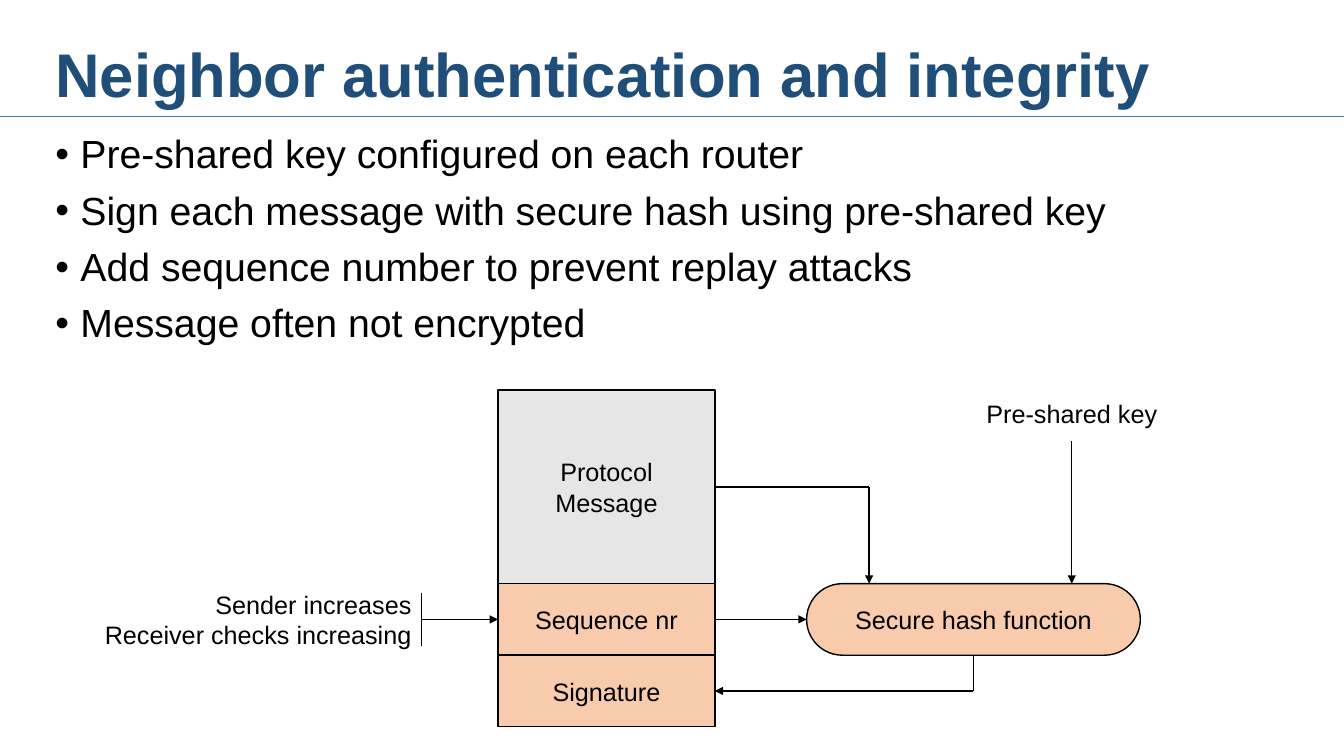
from itertools import pairwise

from lxml import etree
from pptx import Presentation
from pptx import util as u
from pptx.dml.color import RGBColor
from pptx.enum import shapes, text
from pptx.oxml import ns

BLACK = RGBColor(0x00, 0x00, 0x00)
NAVY = RGBColor(0x1F, 0x4E, 0x79)
BLUE = RGBColor(0x44, 0x72, 0xC4)
GREY = RGBColor(0xE7, 0xE6, 0xE6)
PEACH = RGBColor(0xF8, 0xCB, 0xAD)

WIDTH, HEIGHT = 13.33, 7.5
MARGIN = 0.45
CONTENT_WIDTH = WIDTH - 2 * MARGIN
ROW = 0.71
PACKET_LEFT, PACKET_WIDTH = 4.94, 2.15
PACKET_RIGHT = PACKET_LEFT + PACKET_WIDTH
MESSAGE_TOP, MESSAGE_HEIGHT = 3.87, 1.92
SEQUENCE_TOP = MESSAGE_TOP + MESSAGE_HEIGHT
SIGNATURE_TOP = SEQUENCE_TOP + ROW
HASH_LEFT, HASH_WIDTH = 8, 3.31
NOTE_LEFT, NOTE_RIGHT = 0.84, 4.18

BULLETS = [
    "Pre-shared key configured on each router",
    "Sign each message with secure hash using pre-shared key",
    "Add sequence number to prevent replay attacks",
    "Message often not encrypted",
]


def inches(*lengths):
    return [u.Inches(length) for length in lengths]


def style(paragraph, size, color=BLACK, bold=False, align=text.PP_ALIGN.LEFT):
    paragraph.alignment = align
    font = paragraph.font
    font.name, font.size, font.bold = "Arial", u.Pt(size), bold
    font.color.rgb = color


def write(frame, lines, align):
    frame.word_wrap = True
    frame.vertical_anchor = text.MSO_ANCHOR.MIDDLE
    frame.text = "\n".join(lines)
    for paragraph in frame.paragraphs:
        style(paragraph, 18, align=align)


def add_title(slide, wording):
    title = slide.shapes.title
    title.left, title.top, title.width, title.height = inches(MARGIN, 0.36, CONTENT_WIDTH, 0.81)
    frame = title.text_frame
    frame.text = wording
    frame.vertical_anchor = text.MSO_ANCHOR.MIDDLE
    paragraph = frame.paragraphs[0]
    paragraph.line_spacing = 0.9
    style(paragraph, 44, NAVY, bold=True)


def add_bullets(slide, lines):
    frame = slide.shapes.add_textbox(*inches(MARGIN, 1.29, CONTENT_WIDTH, 2.33)).text_frame
    frame.word_wrap = True
    frame.text = "\n".join(lines)
    for index, paragraph in enumerate(frame.paragraphs):
        properties = paragraph._p.get_or_add_pPr()
        properties.set("marL", str(u.Inches(0.25)))
        properties.set("indent", str(u.Inches(-0.25)))
        etree.SubElement(properties, ns.qn("a:buFont"), typeface="Arial")
        etree.SubElement(properties, ns.qn("a:buChar"), char="•")
        paragraph.line_spacing = 0.9
        paragraph.space_before = u.Pt(10 if index else 0)
        style(paragraph, 28)


def add_box(slide, left, top, width, height, lines, fill, kind=shapes.MSO_SHAPE.RECTANGLE):
    box = slide.shapes.add_shape(kind, *inches(left, top, width, height))
    box.shadow.inherit = False
    box.fill.solid()
    box.fill.fore_color.rgb = fill
    box.line.color.rgb = BLACK
    box.line.width = u.Pt(1)
    write(box.text_frame, lines, text.PP_ALIGN.CENTER)
    return box


def add_label(slide, left, top, width, height, lines, align):
    label = slide.shapes.add_textbox(*inches(left, top, width, height))
    write(label.text_frame, lines, align)


def add_route(slide, points, arrow=True, color=BLACK, weight=1):
    for start, end in pairwise(points):
        connector = slide.shapes.add_connector(
            shapes.MSO_CONNECTOR.STRAIGHT, *inches(*start, *end))
        connector.line.color.rgb = color
        connector.line.width = u.Pt(weight)
        etree.SubElement(connector._element.spPr, ns.qn("a:effectLst"))
    if arrow:
        etree.SubElement(connector.line._get_or_add_ln(), ns.qn("a:tailEnd"),
                         type="triangle", w="med", len="med")


def add_packet(slide):
    fields = [
        (MESSAGE_TOP, MESSAGE_HEIGHT, ["Protocol", "Message"], GREY),
        (SEQUENCE_TOP, ROW, ["Sequence nr"], PEACH),
        (SIGNATURE_TOP, ROW, ["Signature"], PEACH),
    ]
    for top, height, lines, fill in fields:
        add_box(slide, PACKET_LEFT, top, PACKET_WIDTH, height, lines, fill)


def add_hash(slide):
    pill = add_box(slide, HASH_LEFT, SEQUENCE_TOP, HASH_WIDTH, ROW, ["Secure hash function"],
                   PEACH, shapes.MSO_SHAPE.ROUNDED_RECTANGLE)
    pill.adjustments[0] = 0.5


def add_routes(slide):
    message_middle = MESSAGE_TOP + MESSAGE_HEIGHT / 2
    sequence_middle = SEQUENCE_TOP + ROW / 2
    signature_middle = SIGNATURE_TOP + ROW / 2
    hash_center = HASH_LEFT + HASH_WIDTH / 2
    message_entry, key_entry = 8.62, 10.63
    add_route(slide, [(NOTE_RIGHT, sequence_middle), (PACKET_LEFT, sequence_middle)])
    add_route(slide, [(NOTE_RIGHT, sequence_middle - 0.26), (NOTE_RIGHT, sequence_middle + 0.26)],
              arrow=False)
    add_route(slide, [(PACKET_RIGHT, message_middle), (message_entry, message_middle),
                      (message_entry, SEQUENCE_TOP)])
    add_route(slide, [(PACKET_RIGHT, sequence_middle), (HASH_LEFT, sequence_middle)])
    add_route(slide, [(key_entry, 4.38), (key_entry, SEQUENCE_TOP)])
    add_route(slide, [(hash_center, SIGNATURE_TOP), (hash_center, signature_middle),
                      (PACKET_RIGHT, signature_middle)])


def main():
    presentation = Presentation()
    presentation.slide_width, presentation.slide_height = inches(WIDTH, HEIGHT)
    slide = presentation.slides.add_slide(presentation.slide_layouts.get_by_name("Title Only"))
    add_route(slide, [(0, 1.15), (WIDTH, 1.15)], arrow=False, color=BLUE, weight=0.5)
    add_title(slide, "Neighbor authentication and integrity")
    add_bullets(slide, BULLETS)
    add_packet(slide)
    add_hash(slide)
    add_label(slide, 9.09, 3.74, 3.08, 0.73, ["Pre-shared key"], text.PP_ALIGN.CENTER)
    add_label(slide, NOTE_LEFT, SEQUENCE_TOP, NOTE_RIGHT - NOTE_LEFT, ROW,
              ["Sender increases", "Receiver checks increasing"], text.PP_ALIGN.RIGHT)
    add_routes(slide)
    presentation.save("out.pptx")


if __name__ == "__main__":
    main()
